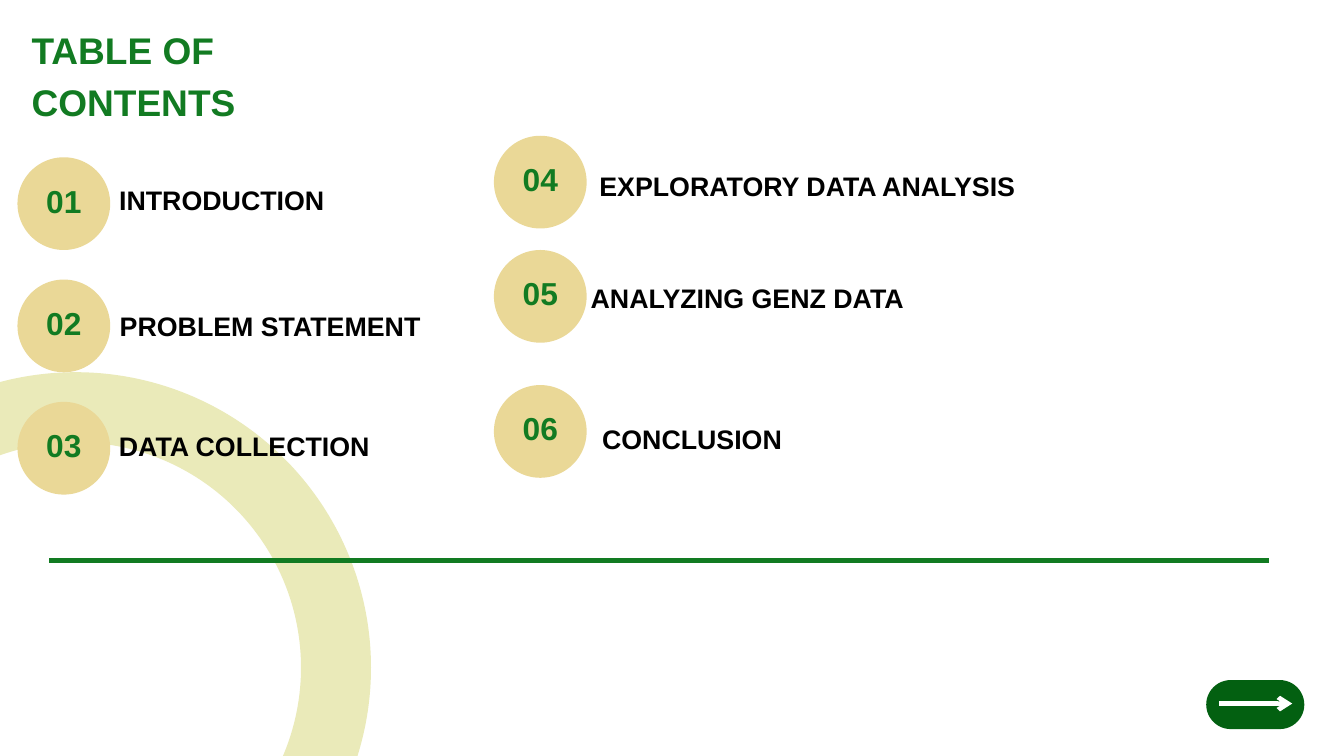
from dataclasses import dataclass

from lxml.etree import SubElement
from pptx import Presentation
from pptx.dml.color import RGBColor as RGB
from pptx.enum.shapes import MSO_CONNECTOR, MSO_SHAPE as SHAPE
from pptx.enum.text import MSO_ANCHOR as ANCHOR, MSO_AUTO_SIZE as FIT, PP_ALIGN as ALIGN
from pptx.oxml.ns import qn
from pptx.util import Inches, Pt


@dataclass(frozen=True)
class Theme:
    font: str = "Arial"
    green: str = "127B22"
    dark: str = "036011"
    sand: str = "EAD897"
    ring: str = "EAEAB9"
    black: str = "000000"
    white: str = "FFFFFF"
    # (type size, line spacing) in points
    title: tuple = (39.7, 55.6)
    number: tuple = (34, 47.6)
    label: tuple = (28.7, 40.1)


T = Theme()
W, H = 20, 11.25
LEFT, RIGHT = 0.26, 7.35    # columns of number circles
TOP, STEP = 2.34, 1.82      # first row and row pitch of the left column
DISC = 1.38

# Content: circle x, circle y, label, label box, alignment
TITLE = "TABLE OF CONTENTS"
ITEMS = [
    (LEFT, TOP, "INTRODUCTION", (1.74, 2.65, 3.12, 0.61), ALIGN.CENTER),
    (LEFT, TOP + STEP, "PROBLEM STATEMENT", (1.28, 4.53, 5.48, 0.56), ALIGN.CENTER),
    (LEFT, TOP + 2 * STEP, "DATA COLLECTION", (1.77, 6.31, 4.4, 0.51), ALIGN.JUSTIFY),
    (RIGHT, 2.02, "EXPLORATORY DATA ANALYSIS", (8.92, 2.45, 6.83, 0.51), ALIGN.LEFT),
    (RIGHT, 3.72, "ANALYZING GENZ DATA", (8.79, 4.11, 5.46, 0.51), ALIGN.LEFT),
    (RIGHT, 5.73, "CONCLUSION", (8.96, 6.21, 3.87, 0.51), ALIGN.LEFT),
]


def box(*lengths):
    return [Inches(v) for v in lengths]


def write(sp, text, style, color, align, anchor=ANCHOR.TOP, margins=(0, 0, 0, 0)):
    tf = sp.text_frame
    tf.text = text
    tf.word_wrap, tf.auto_size, tf.vertical_anchor = True, FIT.NONE, anchor
    tf.margin_left, tf.margin_top, tf.margin_right, tf.margin_bottom = box(*margins)
    p = tf.paragraphs[0]
    p.alignment, p.line_spacing = align, Pt(style[1])
    p.font.name, p.font.size, p.font.bold = T.font, Pt(style[0]), True
    p.font.color.rgb = RGB.from_string(color)


def shape(s, kind, at, fill, line=None, width=0):
    sp = s.shapes.add_shape(kind, *box(*at))
    sp.shadow.inherit = False
    sp.fill.solid()
    sp.fill.fore_color.rgb = RGB.from_string(fill)
    if line:
        sp.line.color.rgb = RGB.from_string(line)
        sp.line.width = Pt(width)
    else:
        sp.line.fill.background()
    return sp


def rule(s, x1, x2, y, color, width, arrow=False):
    c = s.shapes.add_connector(MSO_CONNECTOR.STRAIGHT, *box(x1, y, x2, y))
    c.line.color.rgb = RGB.from_string(color)
    c.line.width = Pt(width)
    if arrow:
        SubElement(c.line._get_or_add_ln(), qn("a:tailEnd"), type="arrow")
    SubElement(c._element.spPr, qn("a:effectLst"))


prs = Presentation()
prs.slide_width, prs.slide_height = box(W, H)
s = prs.slides.add_slide(prs.slide_layouts[5])

# Title
title = s.shapes.title
title.left, title.top, title.width, title.height = box(0.47, 0.3, 3.34, 2.04)
write(title, TITLE, T.title, T.green, ALIGN.LEFT)

# Large ring running off the lower left corner
shape(s, SHAPE.OVAL, (-2.75, 6.06, 7.75, 7.75), T.white, T.ring, 75)

# Numbered items
for n, (x, y, label, at, align) in enumerate(ITEMS, 1):
    disc = shape(s, SHAPE.OVAL, (x, y, DISC, DISC), T.sand)
    write(disc, f"{n:02}", T.number, T.green, ALIGN.CENTER, ANCHOR.MIDDLE,
          (0.06, 0, 0.06, 0.19))
    write(s.shapes.add_textbox(*box(*at)), label, T.label, T.black, align)

# Footer rule and next button
rule(s, 0.73, 18.88, 8.34, T.green, 4.5)
pill = shape(s, SHAPE.ROUNDED_RECTANGLE, (17.95, 10.12, 1.46, 0.73), T.dark)
pill.adjustments[0] = 0.5
rule(s, 18.14, 19.23, 10.47, T.white, 4.78, arrow=True)

prs.save("out.pptx")
